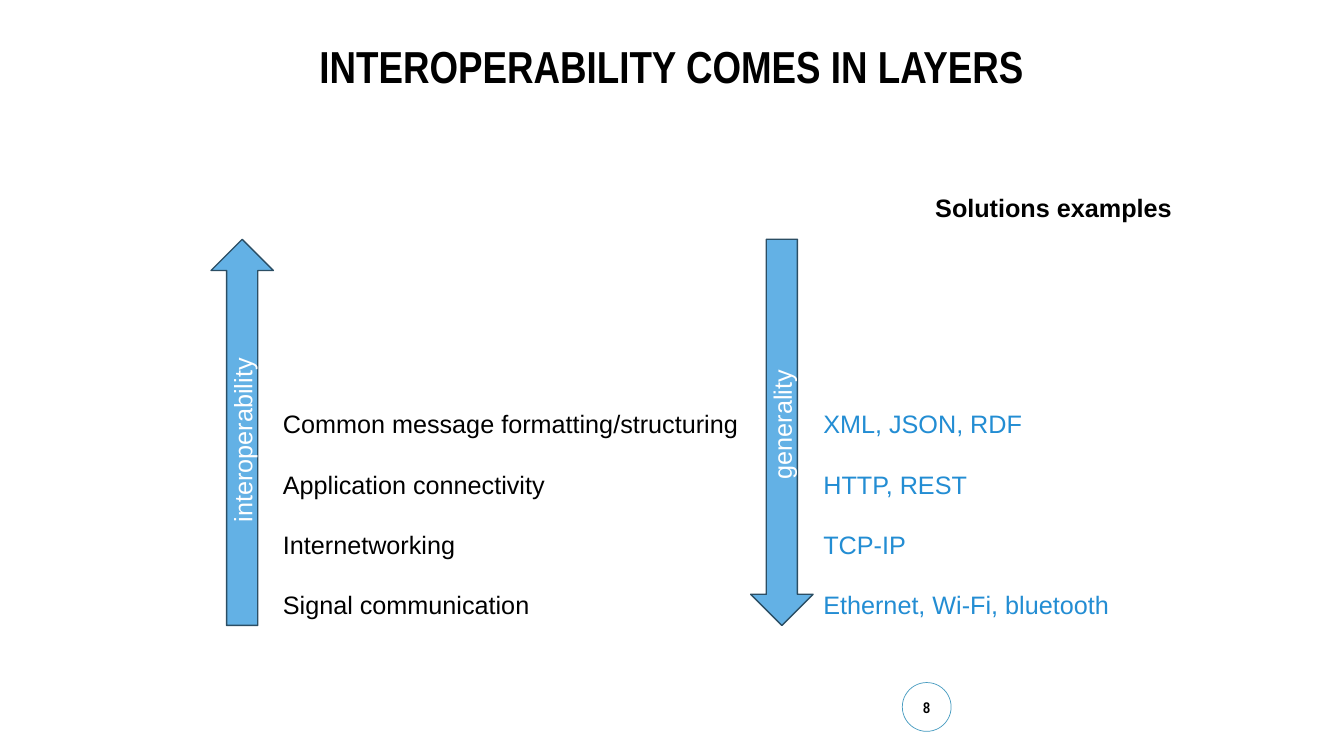
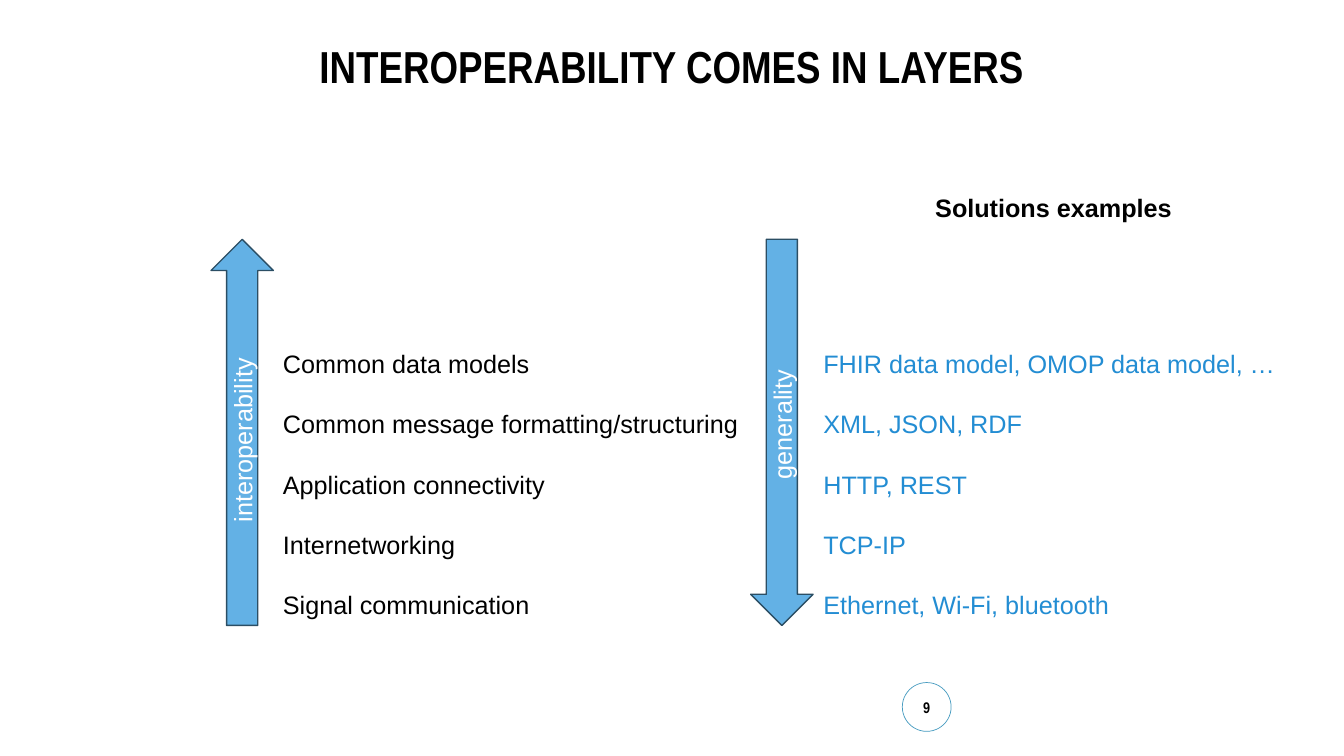
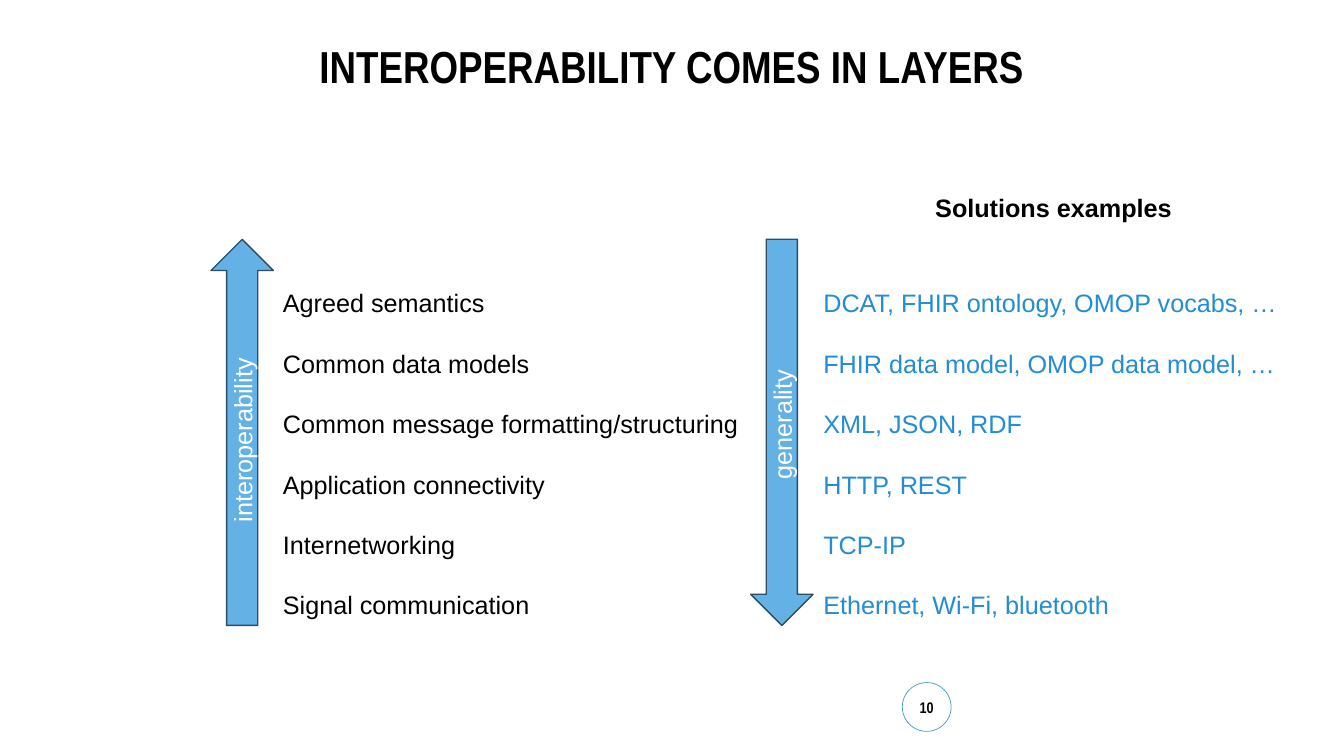
from pptx import Presentation
from pptx.dml.color import RGBColor
from pptx.enum.shapes import MSO_SHAPE
from pptx.enum.text import MSO_ANCHOR, PP_ALIGN
from pptx.util import Cm, Pt

BLACK, WHITE, BLUE = "000000", "FFFFFF", "238DD3"
ARROW_FILL, ARROW_LINE, BADGE_LINE = "63B1E5", "2B4E64", "469BC0"
TITLE = {"name": "Arial Narrow", "size": Pt(32), "bold": True}
NUMBER = {"name": "Arial Narrow", "size": Pt(11), "bold": True}
BODY = {"name": "Arial", "size": Pt(18), "bold": False}
HEADING = {**BODY, "bold": True}

LAYERS = [
    ("Agreed semantics", "DCAT, FHIR ontology, OMOP vocabs, …"),
    ("Common data models", "FHIR data model, OMOP data model, …"),
    ("Common message formatting/structuring", "XML, JSON, RDF"),
    ("Application connectivity", "HTTP, REST"),
    ("Internetworking", "TCP-IP"),
    ("Signal communication", "Ethernet, Wi-Fi, bluetooth"),
]
ROW_HEIGHT = 1.53
LAYERS_BOTTOM = 15.75


def colour(value):
    return RGBColor.from_string(value)


def write(shape, lines, font, ink, align=PP_ALIGN.LEFT, anchor=MSO_ANCHOR.TOP, spacing=1.0):
    frame = shape.text_frame
    frame.word_wrap = True
    frame.vertical_anchor = anchor
    for index, line in enumerate(lines):
        para = frame.paragraphs[0] if index == 0 else frame.add_paragraph()
        para.alignment = align
        para.line_spacing = spacing
        span = para.add_run()
        span.text = line
        for name, value in font.items():
            setattr(span.font, name, value)
        span.font.color.rgb = colour(ink)


def add_text(page, box, lines, font, ink, **layout):
    shape = page.shapes.add_textbox(*map(Cm, box))
    write(shape, lines, font, ink, **layout)


def add_label_shape(page, kind, box, text, font, ink, fill, line, width):
    shape = page.shapes.add_shape(kind, *map(Cm, box))
    shape.shadow.inherit = False
    shape.fill.solid()
    shape.fill.fore_color.rgb = colour(fill)
    shape.line.color.rgb = colour(line)
    shape.line.width = Pt(width)
    write(shape, [text], font, ink, align=PP_ALIGN.CENTER, anchor=MSO_ANCHOR.MIDDLE)
    return shape


def add_frame(page, number):
    add_text(page, (2.33, 1.01, 29.21, 3.68), ["INTEROPERABILITY COMES IN LAYERS"],
             TITLE, BLACK, align=PP_ALIGN.CENTER, spacing=0.9)
    badge = add_label_shape(page, MSO_SHAPE.OVAL, (22.74, 17.2, 1.23, 1.23), str(number),
                            NUMBER, BLACK, WHITE, BADGE_LINE, 0.5)
    for side in ("left", "right", "top", "bottom"):
        setattr(badge.text_frame, f"margin_{side}", 0)


def add_vertical_arrow(page, kind, box, text):
    left, top, width, height = box
    turned = (left + (width - height) / 2, top + (height - width) / 2, height, width)
    arrow = add_label_shape(page, kind, turned, text, BODY, WHITE, ARROW_FILL, ARROW_LINE, 1)
    arrow.rotation = 270


def add_column(page, left, width, lines, ink):
    height = len(lines) * ROW_HEIGHT + 0.25
    add_text(page, (left, LAYERS_BOTTOM - height, width, height), lines, BODY, ink,
             anchor=MSO_ANCHOR.BOTTOM, spacing=2.0)


def add_layers_page(deck, number, count):
    page = deck.slides.add_slide(deck.slide_layouts[6])
    add_frame(page, number)
    names, examples = zip(*LAYERS[-count:])
    add_column(page, 6.88, 12.7, names, BLACK)
    add_column(page, 20.5, 12.9, examples, BLUE)
    add_vertical_arrow(page, MSO_SHAPE.RIGHT_ARROW, (5.32, 6.03, 1.57, 9.73), "interoperability")
    add_text(page, (23.32, 4.73, 6.9, 1.03), ["Solutions examples"], HEADING, BLACK)
    add_vertical_arrow(page, MSO_SHAPE.LEFT_ARROW, (18.92, 6.03, 1.57, 9.73), "generality")


def main():
    deck = Presentation()
    deck.slide_width, deck.slide_height = Cm(33.87), Cm(19.05)
    for number, count in ((8, 4), (9, 5), (10, 6)):
        add_layers_page(deck, number, count)
    deck.save("out.pptx")


if __name__ == "__main__":
    main()
